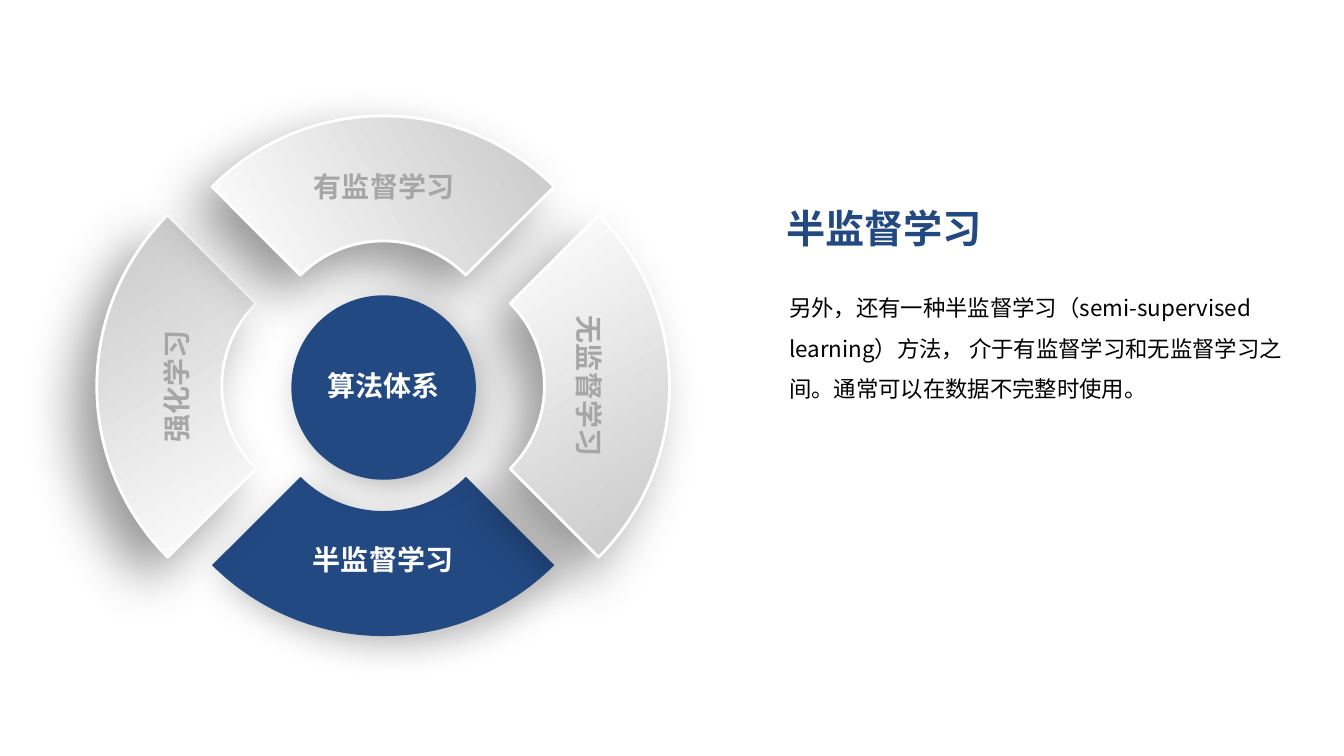
from math import cos, radians, sin

from lxml.etree import Element, SubElement
from pptx import Presentation
from pptx.dml.color import RGBColor
from pptx.enum.shapes import MSO_SHAPE
from pptx.enum.text import MSO_ANCHOR, MSO_AUTO_SIZE, PP_ALIGN
from pptx.oxml.ns import qn
from pptx.util import Inches, Pt

FONT = "Noto Sans CJK SC"
BLUE, WHITE, GREY, BLACK = "234983", "FFFFFF", "A6A6A6", "000000"
OUTER_RADIUS, INNER_RADIUS = 2.4, 1.16
# Shadow: opacity %, blur pt, distance pt, direction in degrees
SOFT_SHADOW = (28, 25, 9, 45)
DEEP_SHADOW = (40, 38, 22, 135)


def color(hex_code):
    return RGBColor.from_string(hex_code)


def write(paragraph, text, size, hex_code, bold=False):
    run = paragraph.add_run()
    run.text = text
    run.font.size = Pt(size)
    run.font.bold = bold
    run.font.name = FONT
    run.font.color.rgb = color(hex_code)
    SubElement(run.font._element, qn("a:ea"), typeface=FONT)


def add_text(slide, box, text, size, hex_code, bold=True, wrap=False,
             align=PP_ALIGN.LEFT, spacing=None):
    shape = slide.shapes.add_textbox(*map(Inches, box))
    frame = shape.text_frame
    frame.word_wrap = wrap
    frame.auto_size = MSO_AUTO_SIZE.SHAPE_TO_FIT_TEXT
    paragraph = frame.paragraphs[0]
    paragraph.alignment = align
    paragraph.line_spacing = spacing
    write(paragraph, text, size, hex_code, bold)


def add_shadow(shape, opacity, blur, distance, direction):
    shape.shadow.inherit = False
    effects = shape._element.spPr.find(qn("a:effectLst"))
    shadow = SubElement(effects, qn("a:outerShdw"), blurRad=str(Pt(blur)),
                        dist=str(Pt(distance)), dir=str(direction * 60000),
                        algn="ctr", rotWithShape="0")
    black = SubElement(shadow, qn("a:srgbClr"), val=BLACK)
    SubElement(black, qn("a:alpha"), val=str(opacity * 1000))


def fill_blue(shape):
    shape.fill.solid()
    shape.fill.fore_color.rgb = color(BLUE)
    shape.line.fill.background()
    add_shadow(shape, *SOFT_SHADOW)


def fill_silver(shape):
    shape.fill.gradient()
    shape.fill.gradient_angle = 30
    for stop, hex_code, position in zip(shape.fill.gradient_stops,
                                        (WHITE, "C8C8C8"), (0, 1)):
        stop.color.rgb = color(hex_code)
        stop.position = position
    shape.line.color.rgb = color(WHITE)
    shape.line.width = Pt(2)
    add_shadow(shape, *DEEP_SHADOW)


def arc_points(radius, angles):
    return [(Inches(radius * sin(radians(angle))),
             Inches(-radius * cos(radians(angle)))) for angle in angles]


def round_edges(shape):
    """Turn the chords of the outer and inner edge into arcs."""
    chords = list(shape._element.iter(qn("a:lnTo")))
    arcs = ((0, OUTER_RADIUS, 225, 45), (1, OUTER_RADIUS, 270, 45),
            (3, INNER_RADIUS, 315, -45), (4, INNER_RADIUS, 270, -45))
    for index, radius, start, sweep in arcs:
        chord = chords[index]
        size = str(Inches(radius))
        arc = Element(qn("a:arcTo"), wR=size, hR=size,
                      stAng=str(start * 60000), swAng=str(sweep * 60000))
        chord.getparent().replace(chord, arc)


def add_wedge(slide, center_x, center_y, rotation, style, label=None):
    """A quarter of the ring, drawn facing up and turned about its middle."""
    outline = (arc_points(OUTER_RADIUS, (-45, 0, 45))
               + arc_points(INNER_RADIUS, (45, 0, -45)))
    builder = slide.shapes.build_freeform(*outline[0], scale=1.0)
    builder.add_line_segments(outline[1:], close=True)
    middle = (OUTER_RADIUS + INNER_RADIUS * cos(radians(45))) / 2
    shape = builder.convert_to_shape(Inches(center_x), Inches(center_y + middle))
    round_edges(shape)
    shape.rotation = rotation
    style(shape)
    if label:
        frame = shape.text_frame
        frame.vertical_anchor = MSO_ANCHOR.MIDDLE
        frame.paragraphs[0].alignment = PP_ALIGN.CENTER
        write(frame.paragraphs[0], label, 20, GREY, bold=True)


def add_hub(slide, left, top, diameter):
    shape = slide.shapes.add_shape(
        MSO_SHAPE.OVAL, *map(Inches, (left, top, diameter, diameter)))
    fill_blue(shape)


def main():
    presentation = Presentation()
    presentation.slide_width = Inches(13.33)
    presentation.slide_height = Inches(7.5)
    slide = presentation.slides.add_slide(presentation.slide_layouts[6])

    # Explanation on the right
    add_text(slide, (7.7, 1.98, 2.17, 0.57), "半监督学习", 28, BLUE)
    add_text(slide, (7.73, 2.74, 5.1, 1.27),
             "另外，还有一种半监督学习（semi-supervised learning）方法， "
             "介于有监督学习和无监督学习之间。通常可以在数据不完整时使用。",
             16, BLACK, bold=False, wrap=True, spacing=1.5)

    # Ring and hub
    add_wedge(slide, 3.8, 5.52, 180, fill_blue)
    add_wedge(slide, 1.75, 3.83, 270, fill_silver, "强化学习")
    add_wedge(slide, 3.8, 1.94, 0, fill_silver)
    add_wedge(slide, 5.85, 3.83, 90, fill_silver, "无监督学习")
    add_hub(slide, 2.89, 2.93, 1.83)

    # Upright labels
    add_text(slide, (3, 5.39, 1.6, 0.38), "半监督学习", 20, WHITE,
             align=PP_ALIGN.CENTER, spacing=Pt(20))
    add_text(slide, (3.15, 3.72, 1.32, 0.34), "算法体系", 20, WHITE,
             spacing=Pt(16))
    add_text(slide, (3.01, 1.69, 1.6, 0.38), "有监督学习", 20, GREY,
             align=PP_ALIGN.CENTER, spacing=Pt(20))

    presentation.save("out.pptx")


if __name__ == "__main__":
    main()
